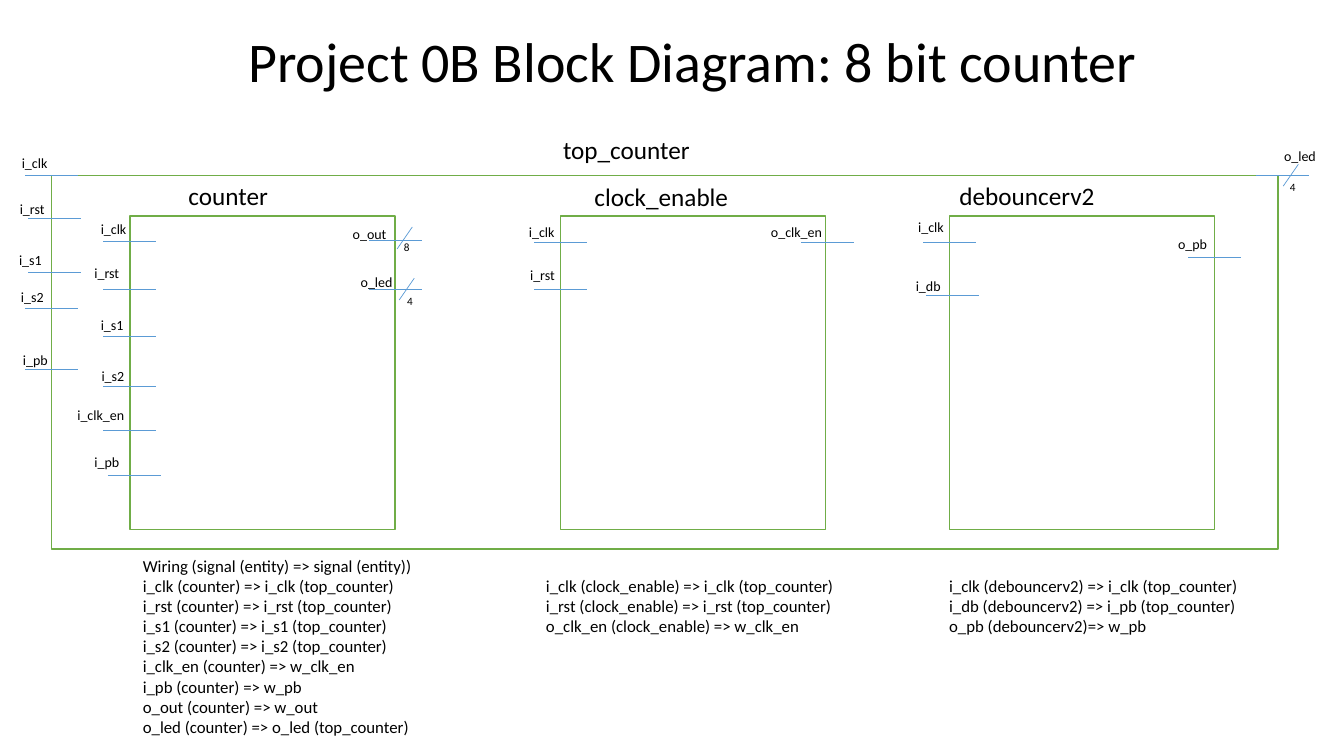
from itertools import zip_longest

from lxml import etree
from pptx import Presentation
from pptx.dml.color import RGBColor
from pptx.enum.shapes import MSO_CONNECTOR as Link, MSO_SHAPE as Shape
from pptx.enum.text import MSO_ANCHOR as Anchor, PP_ALIGN as Align
from pptx.oxml.ns import qn
from pptx.util import Cm, Pt

# Content, lengths in cm
TITLE = "Project 0B Block Diagram: 8 bit counter"

# Blocks: name, name left, name top, box left, top, width, height, filled
BLOCKS = [
    ("top_counter", 13.94, 3.25, 1.3, 4.42, 30.91, 9.42, False),
    ("counter", 4.5, 4.42, 3.28, 5.44, 6.68, 7.9, True),
    ("clock_enable", 14.73, 4.45, 14.12, 5.44, 6.68, 7.9, True),
    ("debouncerv2", 23.93, 4.42, 23.93, 5.44, 6.68, 7.9, True),
]

# Ports: label, label left, label top, wire left, wire height
PORTS = [
    # top_counter
    ("i_clk", 0.3, 3.76, 0.64, 4.42),
    ("i_rst", 0.25, 4.93, 0.71, 5.51),
    ("i_s1", 0.23, 6.22, 0.71, 6.86),
    ("i_s2", 0.28, 7.14, 0.64, 7.77),
    ("i_pb", 0.33, 8.74, 0.64, 9.3),
    ("o_led", 32.11, 3.58, 31.65, 4.42),
    # counter
    ("i_clk", 2.29, 5.44, 2.6, 6.07),
    ("i_rst", 2.13, 6.53, 2.6, 7.29),
    ("i_s1", 2.29, 7.85, 2.6, 8.48),
    ("i_s2", 2.31, 9.14, 2.6, 9.73),
    ("i_clk_en", 1.7, 10.13, 2.6, 10.85),
    ("i_pb", 2.13, 11.3, 2.72, 11.99),
    ("o_out", 8.64, 5.56, 9.3, 6.05),
    ("o_led", 8.84, 6.76, 9.3, 7.29),
    # clock_enable
    ("i_clk", 13.08, 5.51, 13.46, 6.1),
    ("i_rst", 13.11, 6.6, 13.46, 7.29),
    ("o_clk_en", 19.18, 5.51, 20.19, 6.1),
    # debouncerv2
    ("i_clk", 22.89, 5.38, 23.27, 6.1),
    ("i_db", 22.83, 6.86, 23.34, 7.44),
    ("o_pb", 29.44, 5.82, 29.95, 6.48),
]

# Bus marks: bits, label left, label top, slash right, slash top
BUSES = [
    ("8", 9.93, 5.94, 10.39, 5.72),
    ("4", 10.01, 7.29, 10.44, 7.01),
    ("4", 32.26, 4.42, 32.72, 4.14),
]

HEAD = "Wiring (signal (entity) => signal (entity))"
WIRING = [
    ["i_clk (counter) => i_clk (top_counter)",
     "i_rst (counter) => i_rst (top_counter)",
     "i_s1 (counter) => i_s1 (top_counter)",
     "i_s2 (counter) => i_s2 (top_counter)",
     "i_clk_en (counter) => w_clk_en",
     "i_pb (counter) => w_pb",
     "o_out (counter) => w_out",
     "o_led (counter) => o_led (top_counter)"],
    ["i_clk (clock_enable) => i_clk (top_counter)",
     "i_rst (clock_enable) => i_rst (top_counter)",
     "o_clk_en (clock_enable) => w_clk_en"],
    ["i_clk (debouncerv2) => i_clk (top_counter)",
     "i_db (debouncerv2) => i_pb (top_counter)",
     "o_pb (debouncerv2)=> w_pb"],
]

FONT = "Calibri"
BLACK, WHITE, GREEN, BLUE = "000000", "FFFFFF", "70AD47", "5B9BD5"
WIRE = 1.33
SLASH = (0.38, 0.55)
TABS = (10.16, 20.32)

deck = Presentation()
deck.slide_width, deck.slide_height = Cm(33.87), Cm(19.05)
slide = deck.slides.add_slide(deck.slide_layouts[6])
shapes = slide.shapes


def color(part, code):
    part.rgb = RGBColor.from_string(code)


def text(lines, x, y, w, h, size):
    frame = shapes.add_textbox(Cm(x), Cm(y), Cm(w), Cm(h)).text_frame
    frame.word_wrap = True
    frame.text = "\n".join(lines)
    for para in frame.paragraphs:
        para.font.name, para.font.size = FONT, Pt(size)
        color(para.font.color, BLACK)
    return frame


def block(x, y, w, h, filled):
    box = shapes.add_shape(Shape.RECTANGLE, Cm(x), Cm(y), Cm(w), Cm(h))
    box.shadow.inherit = False
    if filled:
        box.fill.solid()
        color(box.fill.fore_color, WHITE)
    else:
        box.fill.background()
    color(box.line.color, GREEN)
    box.line.width = Pt(1)


def wire(x1, y1, x2, y2):
    line = shapes.add_connector(Link.STRAIGHT, Cm(x1), Cm(y1), Cm(x2), Cm(y2))
    color(line.line.color, BLUE)
    line.line.width = Pt(0.5)
    etree.SubElement(line._element.spPr, qn("a:effectLst"))


# Title
title = text([TITLE], 4.75, 0, 25.4, 2.51, 40)
title.vertical_anchor = Anchor.BOTTOM
title.paragraphs[0].alignment = Align.CENTER
title.paragraphs[0].line_spacing = 0.9

# Blocks and their names
for name, left, top, *box in BLOCKS:
    block(*box)
    text([name], left, top, 5.46, 1.02, 18)

# Ports
for name, left, top, x, y in PORTS:
    wire(x, y, x + WIRE, y)
    text([name], left, top, 2.05 if len(name) > 5 else 1.42, 0.68, 10)

# Bus widths
for bits, left, top, x, y in BUSES:
    wire(x, y, x - SLASH[0], y + SLASH[1])
    text([bits], left, top, 0.64, 0.61, 8)

# Wiring list, one tab stop per further column
rows = ["\t".join(row).rstrip() for row in zip_longest(*WIRING, fillvalue="")]
notes = text([HEAD, *rows], 3.35, 13.87, 28.98, 4.88, 12)
for para in notes.paragraphs:
    if "\t" in para.text:
        stops = etree.Element(qn("a:tabLst"))
        for stop in TABS:
            etree.SubElement(stops, qn("a:tab"), pos=str(Cm(stop)), algn="l")
        props = para._p.get_or_add_pPr()
        props.insert(0, stops)

deck.save("out.pptx")
